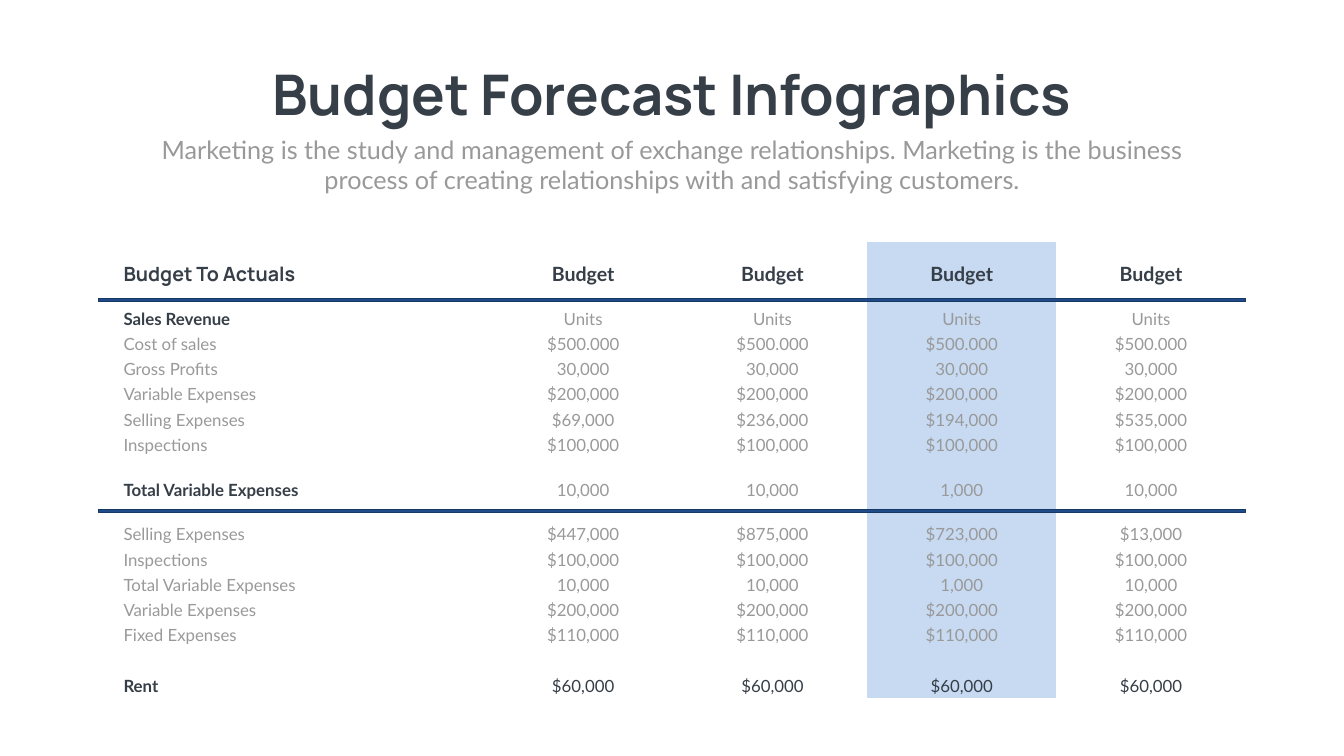
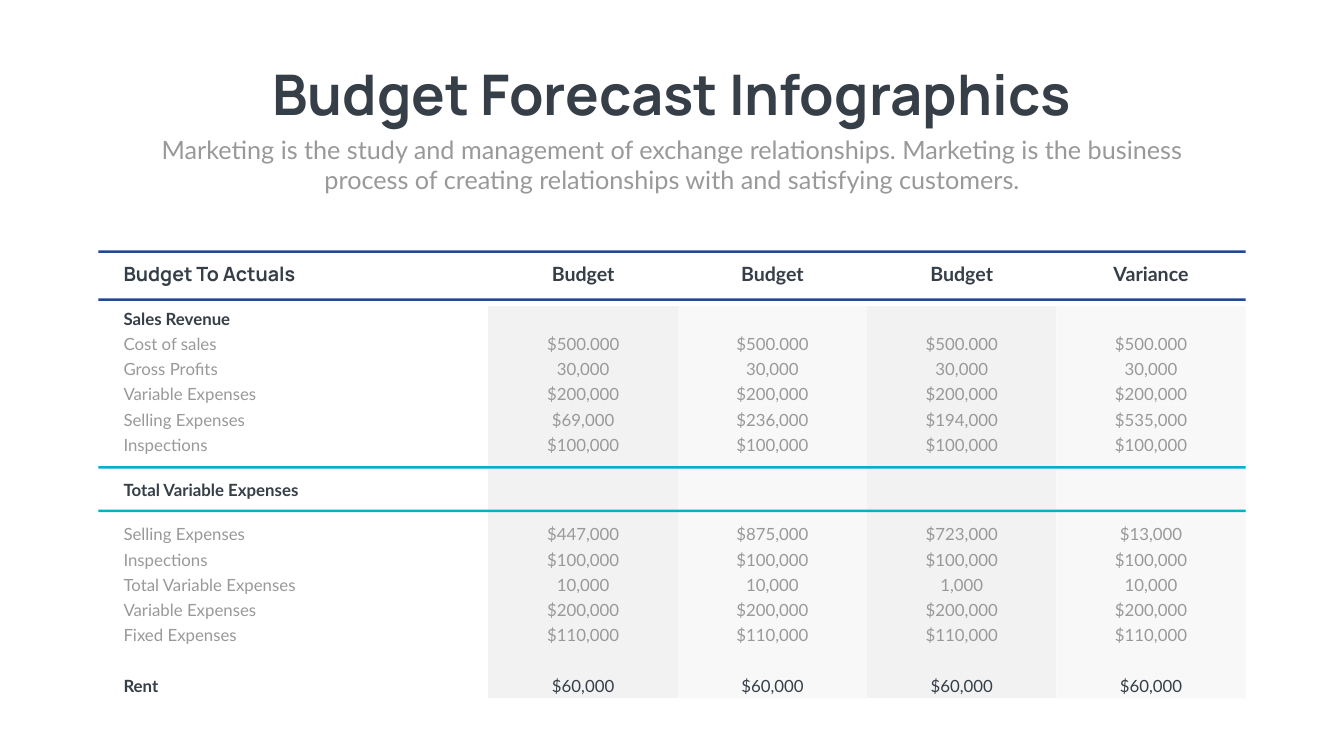
import lxml.etree
import pptx
import pptx.dml.color
import pptx.enum.shapes
import pptx.enum.text
import pptx.oxml.ns
import pptx.util

Pt = pptx.util.Pt
RGB = pptx.dml.color.RGBColor
ALIGN = pptx.enum.text.PP_ALIGN
qn = pptx.oxml.ns.qn

DARK = RGB(0x36, 0x3E, 0x48)
GRAY = RGB(0x99, 0x99, 0x99)
NAVY = RGB(0x1F, 0x4C, 0x89)
NAVY_EDGE = RGB(0x17, 0x38, 0x65)
TEAL = RGB(0x01, 0xB1, 0xCA)
HIGHLIGHT = RGB(0xC7, 0xDA, 0xF2)
BAND = RGB(0xF2, 0xF2, 0xF2)
NO_STYLE = "{2D5ABB26-0587-4C30-8999-92F81FD0307C}"

LEFT, TOP, WIDTH = 140.4, 345.6, 1638.72
LABEL_W, VALUE_W = 557.28, 270.36
TALL, ROW_H = 91.8, 36
RULE_H = 3.6

TITLE = "Budget Forecast Infographics"
SUBTITLE = ("Marketing is the study and management of exchange relationships. "
            "Marketing is the business process of creating relationships with "
            "and satisfying customers.")
HEADING = "Budget To Actuals"
ROWS = [
    ("Sales Revenue", ["Units"] * 4),
    ("Cost of sales", ["$500.000"] * 4),
    ("Gross Profits", ["30,000"] * 4),
    ("Variable Expenses", ["$200,000"] * 4),
    ("Selling Expenses", ["$69,000", "$236,000", "$194,000", "$535,000"]),
    ("Inspections", ["$100,000"] * 4),
    ("Total Variable Expenses", ["10,000", "10,000", "1,000", "10,000"]),
    ("Selling Expenses", ["$447,000", "$875,000", "$723,000", "$13,000"]),
    ("Inspections", ["$100,000"] * 4),
    ("Total Variable Expenses", ["10,000", "10,000", "1,000", "10,000"]),
    ("Variable Expenses", ["$200,000"] * 4),
    ("Fixed Expenses", ["$110,000"] * 4),
    ("", [""] * 4),
    ("Rent", ["$60,000"] * 4),
]
SALES, TOTAL, RENT = 1, 7, 14

SLIDES = [
    {
        "headers": ["Budget"] * 4,
        "label_only": [],
        "fills": {3: (HIGHLIGHT, 100)},
        "first_filled_row": 0,
        "rules": [(426.24, NAVY), (727.92, NAVY)],
        "edge": NAVY_EDGE,
    },
    {
        "headers": ["Budget"] * 3 + ["Variance"],
        "label_only": [SALES, TOTAL],
        "fills": {1: (BAND, 100), 2: (BAND, 50), 3: (BAND, 100), 4: (BAND, 50)},
        "first_filled_row": 1,
        "rules": [(426.24, NAVY), (727.92, TEAL), (357.84, NAVY), (666, TEAL)],
        "edge": None,
    },
]


def write(tf, text, color, align=ALIGN.CENTER, **font):
    """Put one formatted run into the first paragraph of a text frame."""
    p = tf.paragraphs[0]
    p.alignment = align
    r = p.add_run()
    r.text = text
    r.font.color.rgb = color
    for name, value in font.items():
        setattr(r.font, name, value)


prs = pptx.Presentation()
prs.slide_width, prs.slide_height = Pt(1919.52), Pt(1080)

for spec_ in SLIDES:
    s = prs.slides.add_slide(prs.slide_layouts[6])

    headings = [
        ((339.12, 82.08, 1240.56, 104.4), False, TITLE, DARK,
         {"name": "Manrope", "size": Pt(80), "bold": True}),
        ((210.24, 187.92, 1499.04, 94.32), True, SUBTITLE, GRAY,
         {"name": "Lato", "size": Pt(36)}),
    ]
    for box, wrap, text, color, font in headings:
        tf = s.shapes.add_textbox(*map(Pt, box)).text_frame
        tf.word_wrap = wrap
        tf.auto_size = pptx.enum.text.MSO_AUTO_SIZE.SHAPE_TO_FIT_TEXT
        write(tf, text, color, **font)

    rows = [(HEADING, spec_["headers"])] + ROWS
    frame = s.shapes.add_table(len(rows), 5, Pt(LEFT), Pt(TOP), Pt(WIDTH),
                               Pt(2 * TALL + (len(rows) - 2) * ROW_H))
    next(frame.element.iter(qn("a:tableStyleId"))).text = NO_STYLE
    table = frame.table
    table.first_row = table.horz_banding = False
    for col, column in enumerate(table.columns):
        column.width = Pt(VALUE_W if col else LABEL_W)

    for row, (label, values) in enumerate(rows):
        table.rows[row].height = Pt(TALL if row in (0, TOTAL) else ROW_H)
        for col, text in enumerate([label] + values):
            cell = table.cell(row, col)
            cell.vertical_anchor = pptx.enum.text.MSO_ANCHOR.MIDDLE
            if col == 0:
                cell.margin_left = Pt(36)

            if col in spec_["fills"] and row >= spec_["first_filled_row"]:
                color, opacity = spec_["fills"][col]
                cell.fill.solid()
                cell.fill.fore_color.rgb = color
                if opacity < 100:
                    clr = next(cell.fill._xPr.iter(qn("a:srgbClr")))
                    lxml.etree.SubElement(clr, qn("a:alpha"), val=str(opacity * 1000))
            else:
                cell.fill.background()

            if not text or (col and row in spec_["label_only"]):
                continue
            strong = row == 0 or (col == 0 and row in (SALES, TOTAL, RENT))
            write(cell.text_frame, text,
                  DARK if strong or row == RENT else GRAY,
                  ALIGN.CENTER if col else ALIGN.LEFT,
                  name="Manrope" if row == col == 0 else "Lato",
                  size=Pt(24 if row else 28), bold=strong)

    for y, color in spec_["rules"]:
        sp = s.shapes.add_shape(pptx.enum.shapes.MSO_SHAPE.RECTANGLE,
                                Pt(LEFT), Pt(y), Pt(WIDTH), Pt(RULE_H))
        sp.shadow.inherit = False
        sp.fill.solid()
        sp.fill.fore_color.rgb = color
        if spec_["edge"]:
            sp.line.color.rgb = spec_["edge"]
            sp.line.width = Pt(1)
        else:
            sp.line.fill.background()

prs.save("out.pptx")
